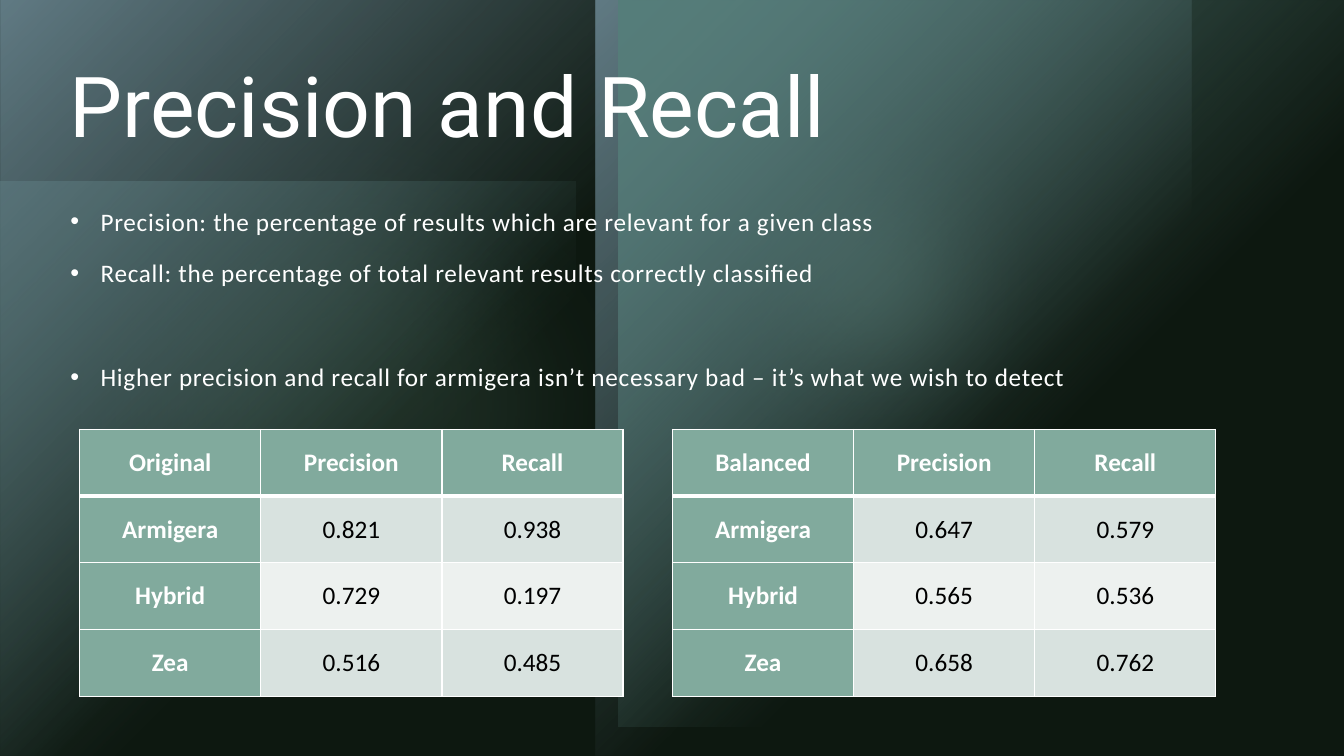
from lxml import etree
from pptx import Presentation
from pptx.dml.color import RGBColor
from pptx.enum import shapes, text
from pptx.oxml import ns
from pptx.util import Inches, Pt

COLORS = {"black": "000000", "white": "FFFFFF", "sage": "81AA9D", "pale": "D8E2DF",
          "mist": "EDF1EF", "teal": "78AAB0", "blue": "8AA4C0", "forest": "223C29"}
RECT = shapes.MSO_SHAPE.RECTANGLE
OVAL = shapes.MSO_SHAPE.OVAL

# Backdrop: kind, left, top, width, height, colour, opacity, turn, flips
GLOWS = [
    (RECT, 0, 1.8, 5.71, 5.71, "teal", 60, 0, "V"),
    (OVAL, 6.29, 0.43, 4.72, 4.72, "sage", 60, 0, "V"),
    (OVAL, 0, 0.56, 6.94, 6.94, "sage", 20, 0, "V"),
    (RECT, 0, 0, 5.91, 7.5, "blue", 100, 180, "V"),
    (RECT, 5.91, 0, 5.91, 7.5, "blue", 100, 180, "HV"),
    (RECT, 6.13, 0, 7.21, 7.21, "teal", 100, 180, "V"),
]
POINTS = [
    ("Precision: the percentage of results which are relevant for a given class", 0),
    ("Recall: the percentage of total relevant results correctly classified", 10),
    ("Higher precision and recall for armigera isn’t necessary bad – "
     "it’s what we wish to detect", 47),
]
TABLES = [
    (0.79, [("Original", "Precision", "Recall"), ("Armigera", "0.821", "0.938"),
            ("Hybrid", "0.729", "0.197"), ("Zea", "0.516", "0.485")]),
    (6.67, [("Balanced", "Precision", "Recall"), ("Armigera", "0.647", "0.579"),
            ("Hybrid", "0.565", "0.536"), ("Zea", "0.658", "0.762")]),
]


def rgb(name):
    return RGBColor.from_string(COLORS[name])


def add(parent, tag, **attrs):
    """Append an XML child and return it."""
    node = etree.SubElement(parent, ns.qn(tag))
    for key, value in attrs.items():
        node.set(key, str(value))
    return node


def tint(parent, color, alpha):
    add(add(parent, "a:srgbClr", val=COLORS[color]), "a:alpha", val=alpha * 1000)


def write(para, words, size=18, font="Calibri", color="white", bold=False,
          align=None, line=None, before=0, track=None, bullet=None):
    """Put formatted text in a paragraph."""
    if bullet:
        props = para._p.get_or_add_pPr()
        props.set("marL", str(Inches(0.3)))
        props.set("indent", str(-Inches(0.3)))
        add(props, "a:buFont", typeface="Arial")
        add(props, "a:buChar", char=bullet)
    para.alignment = align
    para.line_spacing = line
    para.space_before = Pt(before)
    run = para.add_run()
    run.text = words
    run.font.size = Pt(size)
    run.font.name = font
    run.font.bold = bold
    run.font.color.rgb = rgb(color)
    if track:
        run.font._element.set("spc", str(int(track * 100)))


def panel(slide, level, kind, left, top, width, height, color, alpha,
          turn=0, flips="", fade=False, soft=0):
    """Place a translucent shape at a given depth behind the content."""
    shape = slide.shapes.add_shape(
        kind, Inches(left), Inches(top), Inches(width), Inches(height))
    shape.line.fill.background()
    shape.shadow.inherit = False
    shape.rotation = turn
    props = shape._element.spPr
    for axis in flips:
        props.xfrm.set("flip" + axis, "1")
    shape.fill.solid()
    old = props.find(ns.qn("a:solidFill"))
    if fade:
        fill = etree.Element(ns.qn("a:gradFill"), rotWithShape="1")
        stops = add(fill, "a:gsLst")
        for place, opacity in ((0, alpha), (60, 0)):
            tint(add(stops, "a:gs", pos=place * 1000), color, opacity)
        add(add(fill, "a:path", path="circle"), "a:fillToRect", r=100000, b=100000)
    else:
        fill = etree.Element(ns.qn("a:solidFill"))
        tint(fill, color, alpha)
    props.replace(old, fill)
    if soft:
        add(props.find(ns.qn("a:effectLst")), "a:softEdge", rad=Inches(soft))
    slide.shapes._spTree.insert(2 + level, shape._element)


def backdrop(slide):
    slide.background.fill.solid()
    slide.background.fill.fore_color.rgb = rgb("black")
    for level, glow in enumerate(GLOWS):
        oval = glow[0] == OVAL
        panel(slide, level, *glow, fade=not oval, soft=1.25 if oval else 0)
    panel(slide, len(GLOWS), RECT, 0, 0, 13.33, 7.5, "forest", 40)


def heading(slide):
    title = slide.shapes.title
    title.left, title.top = Inches(0.59), Inches(0.59)
    title.width, title.height = Inches(12.14), Inches(1.14)
    frame = title.text_frame
    frame.vertical_anchor = text.MSO_ANCHOR.TOP
    frame.auto_size = text.MSO_AUTO_SIZE.NONE
    write(frame.paragraphs[0], "Precision and Recall", size=60, font="Roboto",
          align=text.PP_ALIGN.LEFT, line=0.9)


def bullets(slide):
    frame = slide.shapes.add_textbox(
        Inches(0.6), Inches(1.92), Inches(12.14), Inches(2.2)).text_frame
    frame.word_wrap = True
    for i, (words, gap) in enumerate(POINTS):
        para = frame.add_paragraph() if i else frame.paragraphs[0]
        write(para, words, line=1.25, before=gap, track=0.5, bullet="•")


def borders(cell, head, below):
    """White cell edges, heavy between the header and the first row."""
    props = cell._tc.get_or_add_tcPr()
    for i, side in enumerate("LRTB"):
        heavy = (head and side == "B") or (below and side == "T")
        edge = etree.Element(ns.qn("a:ln" + side), w=str(Pt(3 if heavy else 1)))
        add(add(edge, "a:solidFill"), "a:srgbClr", val=COLORS["white"])
        props.insert(i, edge)


def scores(slide, left, rows):
    grid = slide.shapes.add_table(
        len(rows), len(rows[0]), Inches(left), Inches(4.26),
        Inches(5.39), Inches(2.65)).table
    for r, row in enumerate(rows):
        for c, words in enumerate(row):
            cell = grid.cell(r, c)
            label = r == 0 or c == 0
            cell.fill.solid()
            cell.fill.fore_color.rgb = rgb(
                "sage" if label else "pale" if r % 2 else "mist")
            cell.vertical_anchor = text.MSO_ANCHOR.MIDDLE
            write(cell.text_frame.paragraphs[0], words, bold=label,
                  color="white" if label else "black", align=text.PP_ALIGN.CENTER)
            borders(cell, r == 0, r == 1)


def main():
    deck = Presentation()
    deck.slide_width, deck.slide_height = Inches(13.33), Inches(7.5)
    slide = deck.slides.add_slide(deck.slide_layouts[5])
    backdrop(slide)
    heading(slide)
    bullets(slide)
    for left, rows in TABLES:
        scores(slide, left, rows)
    deck.save("out.pptx")


if __name__ == "__main__":
    main()
